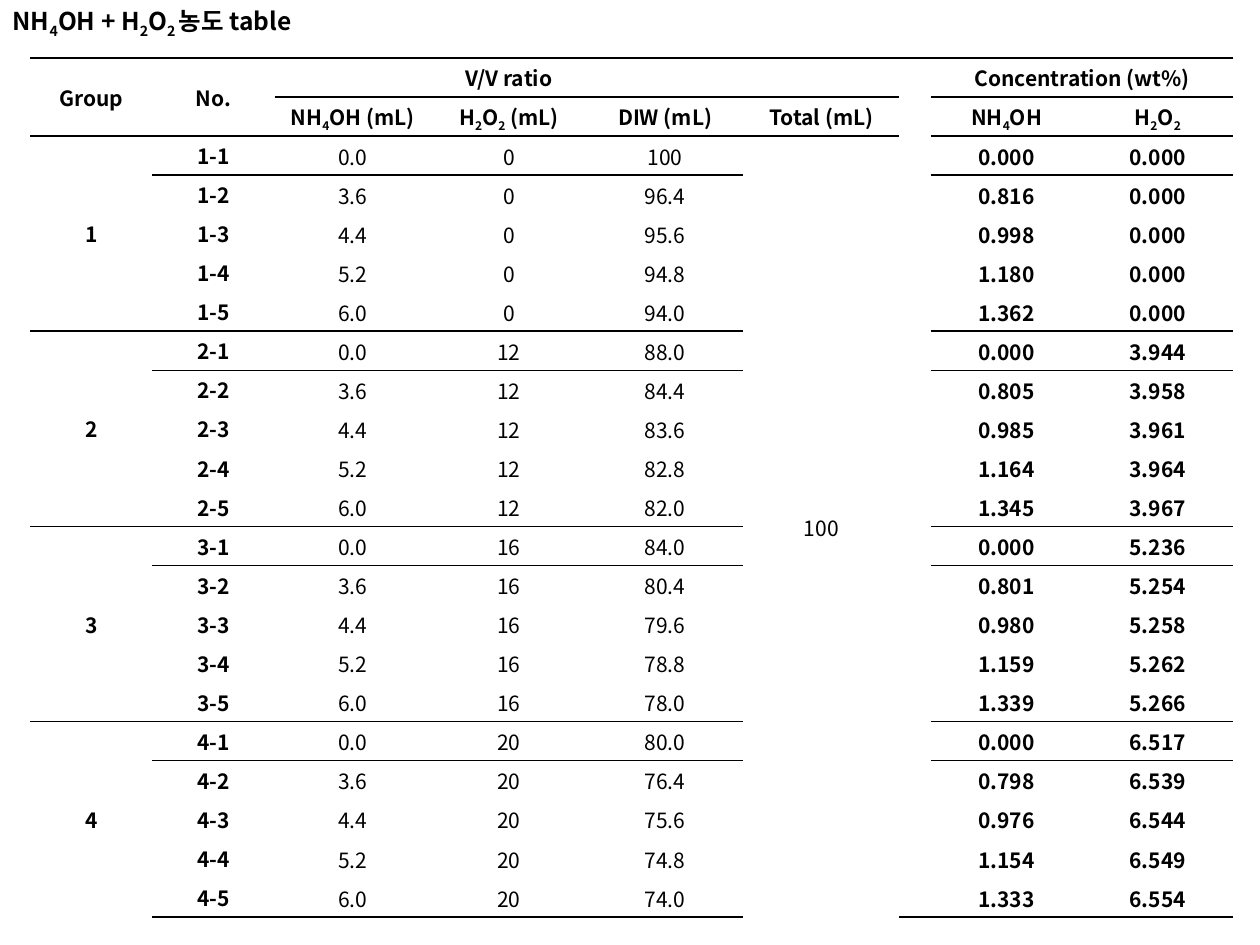
from lxml import etree
from pptx import Presentation
from pptx.dml.color import RGBColor
from pptx.enum import text
from pptx.oxml import ns
from pptx.util import Inches, Pt

COLORS = {"ink": "000000"}
FONT = "Noto Sans CJK KR"
NO_GRID = "{2D5ABB26-0587-4C30-8999-92F81FD0307C}"

TITLE = "NH~4~OH + H~2~O~2 ~농도 table"
TOP_HEADS = {0: "Group", 1: "No.", 2: "V/V ratio", 7: "Concentration (wt%)"}
SUB_HEADS = {2: "NH~4~OH (mL)", 3: "H~2~O~2~ (mL)", 4: "DIW (mL)",
             5: "Total (mL)", 7: "NH~4~OH", 8: "H~2~O~2~"}
TOTAL = 100
NH4OH_ML = [0.0, 3.6, 4.4, 5.2, 6.0]
GROUPS = [
    (0, ["0.000", "0.816", "0.998", "1.180", "1.362"],
     ["0.000", "0.000", "0.000", "0.000", "0.000"]),
    (12, ["0.000", "0.805", "0.985", "1.164", "1.345"],
     ["3.944", "3.958", "3.961", "3.964", "3.967"]),
    (16, ["0.000", "0.801", "0.980", "1.159", "1.339"],
     ["5.236", "5.254", "5.258", "5.262", "5.266"]),
    (20, ["0.000", "0.798", "0.976", "1.154", "1.333"],
     ["6.517", "6.539", "6.544", "6.549", "6.554"]),
]
COL_WIDTHS = [0.97, 0.97, 1.24, 1.24, 1.24, 1.24, 0.25, 1.2, 1.2]
ROW_HEIGHT = 0.31
HEAD_ROWS, GROUP_SIZE = 2, len(NH4OH_ML)
ROWS = HEAD_ROWS + GROUP_SIZE * len(GROUPS)
TOTAL_COL, GAP_COL = 5, 6


def add_formula(p, formula, size, bold):
    for i, part in enumerate(formula.split("~")):
        if not part:
            continue
        r = p.add_run()
        r.text = part
        r.font.name, r.font.size, r.font.bold = FONT, Pt(size), bold
        r.font.color.rgb = RGBColor.from_string(COLORS["ink"])
        rpr = r._r.get_or_add_rPr()
        etree.SubElement(rpr, ns.qn("a:ea")).set("typeface", FONT)
        if i % 2:
            rpr.set("baseline", "-25000")


def fill_cell(row, col, formula, bold=True):
    add_formula(table.cell(row, col).text_frame.paragraphs[0], formula, 12, bold)


def add_border(cell, side, position):
    ln = etree.Element(ns.qn(f"a:ln{side}"), w=str(Pt(1)))
    fill = etree.SubElement(ln, ns.qn("a:solidFill"))
    etree.SubElement(fill, ns.qn("a:srgbClr"), val=COLORS["ink"])
    cell._tc.get_or_add_tcPr().insert(position, ln)


def has_rule(edge, col):
    if edge in (0, ROWS):
        return True
    if col == GAP_COL:
        return False
    if edge == 1:
        return col > 1
    if edge == HEAD_ROWS:
        return True
    return (edge - HEAD_ROWS) % GROUP_SIZE == 0 and col != TOTAL_COL


prs = Presentation()
prs.slide_width, prs.slide_height = Inches(10), Inches(7.5)
s = prs.slides.add_slide(prs.slide_layouts[5])

title = s.shapes.title
title.left, title.top, title.width, title.height = map(Inches, (0, 0, 2.62, 0.34))
tf = title.text_frame
tf.word_wrap = False
tf.auto_size = text.MSO_AUTO_SIZE.SHAPE_TO_FIT_TEXT
tf.vertical_anchor = text.MSO_ANCHOR.TOP
tf.paragraphs[0].alignment = text.PP_ALIGN.LEFT
add_formula(tf.paragraphs[0], TITLE, 14, True)

table = s.shapes.add_table(ROWS, len(COL_WIDTHS), Inches(0.24), Inches(0.46),
                           Inches(sum(COL_WIDTHS)), Inches(ROWS * ROW_HEIGHT)).table
table.first_row = table.horz_banding = False
table._tbl.tblPr.find(ns.qn("a:tableStyleId")).text = NO_GRID
for column, width in zip(table.columns, COL_WIDTHS):
    column.width = Inches(width)

for row in range(ROWS):
    table.rows[row].height = Inches(ROW_HEIGHT)
    for col in range(len(COL_WIDTHS)):
        cell = table.cell(row, col)
        cell.fill.background()
        cell.vertical_anchor = text.MSO_ANCHOR.MIDDLE
        cell.margin_top = cell.margin_bottom = Inches(0.03)
        if row >= HEAD_ROWS and col >= 2:
            cell.margin_left = cell.margin_right = cell.margin_top = Inches(0.01)
            cell.margin_bottom = 0
        p = cell.text_frame.paragraphs[0]
        p.alignment = text.PP_ALIGN.CENTER
        p._p.get_or_add_endParaRPr().set("sz", "1200")
        rules = [side for side, edge in (("T", row), ("B", row + 1)) if has_rule(edge, col)]
        for position, side in enumerate(rules):
            add_border(cell, side, position)

for row, heads in enumerate((TOP_HEADS, SUB_HEADS)):
    for col, head in heads.items():
        fill_cell(row, col, head)

for g, (h2o2_ml, nh4oh_wt, h2o2_wt) in enumerate(GROUPS):
    first = HEAD_ROWS + g * GROUP_SIZE
    fill_cell(first, 0, str(g + 1))
    table.cell(first, 0).merge(table.cell(first + GROUP_SIZE - 1, 0))
    for i, nh4oh_ml in enumerate(NH4OH_ML):
        row = first + i
        diw_ml = TOTAL - nh4oh_ml - h2o2_ml
        diw = f"{diw_ml:.1f}" if diw_ml < TOTAL else str(TOTAL)
        fill_cell(row, 1, f"{g + 1}-{i + 1}")
        for col, value in enumerate((f"{nh4oh_ml:.1f}", str(h2o2_ml), diw), 2):
            fill_cell(row, col, value, False)
        for col, value in enumerate((nh4oh_wt[i], h2o2_wt[i]), 7):
            fill_cell(row, col, value)

fill_cell(HEAD_ROWS, TOTAL_COL, str(TOTAL), False)
for top, left, bottom, right in [(0, 0, 1, 0), (0, 1, 1, 1), (0, 2, 0, 4), (0, 7, 0, 8),
                                 (HEAD_ROWS, TOTAL_COL, ROWS - 1, TOTAL_COL)]:
    table.cell(top, left).merge(table.cell(bottom, right))

prs.save("out.pptx")
